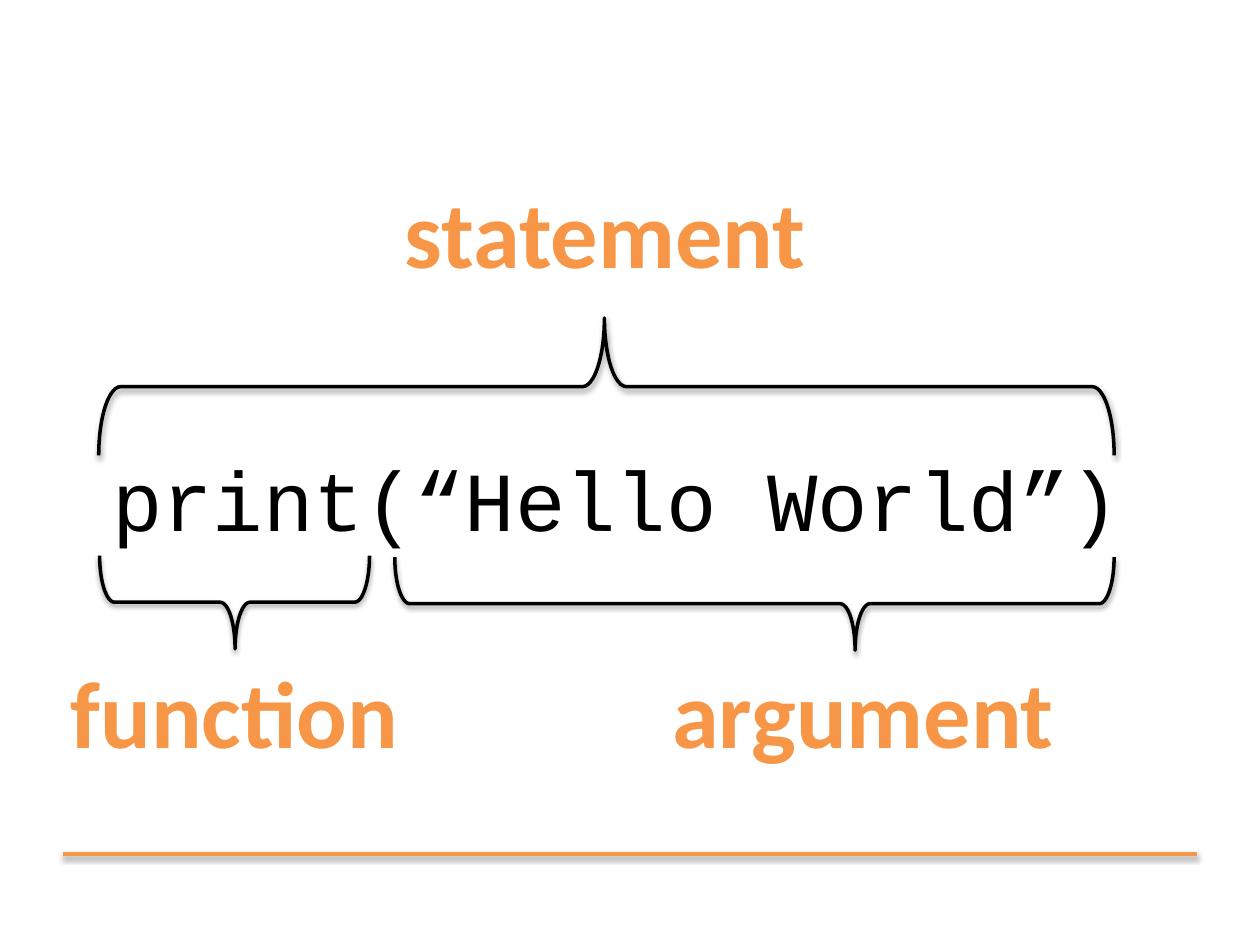
from lxml.etree import SubElement
from pptx import Presentation
from pptx.dml.color import RGBColor
from pptx.enum.shapes import MSO_CONNECTOR, MSO_SHAPE
from pptx.enum.text import MSO_AUTO_SIZE, PP_ALIGN
from pptx.oxml.ns import qn
from pptx.util import Cm, Pt

ORANGE, BLACK = "F79646", "000000"


def color(value):
    return RGBColor.from_string(value)


class Diagram:
    """Holds the style and the current slide."""

    label_font, code_font = "Calibri", "Courier New"
    label_size, code_size = Pt(54), Pt(48)
    line_width = Pt(2)

    def __init__(self, page):
        self.page = page

    def style_line(self, shape, line_color):
        shape.line.color.rgb = color(line_color)
        shape.line.width = self.line_width
        # Soft shadow straight below
        effects = shape._element.spPr.find(qn("a:effectLst"))
        if effects is None:
            effects = SubElement(shape._element.spPr, qn("a:effectLst"))
        shadow = SubElement(effects, qn("a:outerShdw"), blurRad="40000",
                            dist="20000", dir="5400000", rotWithShape="0")
        tint = SubElement(shadow, qn("a:srgbClr"), val=BLACK)
        SubElement(tint, qn("a:alpha"), val="38000")

    def rule(self, left, right, top):
        line = self.page.shapes.add_connector(
            MSO_CONNECTOR.STRAIGHT, Cm(left), Cm(top), Cm(right), Cm(top))
        self.style_line(line, ORANGE)

    def text(self, content, left, top, width, height, font, size, ink,
             bold=False, align=PP_ALIGN.LEFT, wrap=True):
        box = self.page.shapes.add_textbox(
            Cm(left), Cm(top), Cm(width), Cm(height))
        frame = box.text_frame
        frame.word_wrap = wrap
        frame.auto_size = MSO_AUTO_SIZE.SHAPE_TO_FIT_TEXT
        para = frame.paragraphs[0]
        para.text = content
        para.alignment = align
        para.font.name, para.font.size, para.font.bold = font, size, bold
        para.font.color.rgb = color(ink)

    def code(self, content, left, top, width, height):
        self.text(content, left, top, width, height,
                  self.code_font, self.code_size, BLACK)

    def label(self, content, center, top, width):
        self.text(content, center - width / 2, top, width, 2.57,
                  self.label_font, self.label_size, ORANGE,
                  bold=True, align=PP_ALIGN.CENTER, wrap=False)

    def brace(self, left, top, width, height, rotation, tip):
        """Left, top, width and height describe the brace as it lies turned."""
        shape = self.page.shapes.add_shape(
            MSO_SHAPE.LEFT_BRACE,
            Cm(left + (width - height) / 2), Cm(top + (height - width) / 2),
            Cm(height), Cm(width))
        shape.rotation = rotation
        shape.adjustments[0], shape.adjustments[1] = 0.16, tip
        shape.shadow.inherit = False
        shape.fill.background()
        self.style_line(shape, BLACK)


deck = Presentation()
deck.slide_width, deck.slide_height = Cm(25.4), Cm(19.05)
diagram = Diagram(deck.slides.add_slide(deck.slide_layouts[6]))

# Footer rule and the line of code
diagram.rule(1.27, 24.13, 17.22)
diagram.code("print(“Hello World”)", 2.01, 8.89, 21.16, 2.31)

# Each part of the code: label (center, top, width) and its brace
UP, DOWN = 90, 270
parts = [
    ("statement", (12.2, 3.38, 8.76), (1.99, 6.41, 20.47, 2.77, UP, 0.502)),
    ("function", (4.73, 13.06, 7.19), (2.01, 11.2, 5.44, 1.88, DOWN, 0.502)),
    ("argument", (17.4, 13.06, 8.33), (7.96, 11.23, 14.5, 1.88, DOWN, 0.64)),
]
for name, label_place, brace_place in parts:
    diagram.label(name, *label_place)
    diagram.brace(*brace_place)

deck.save("out.pptx")
